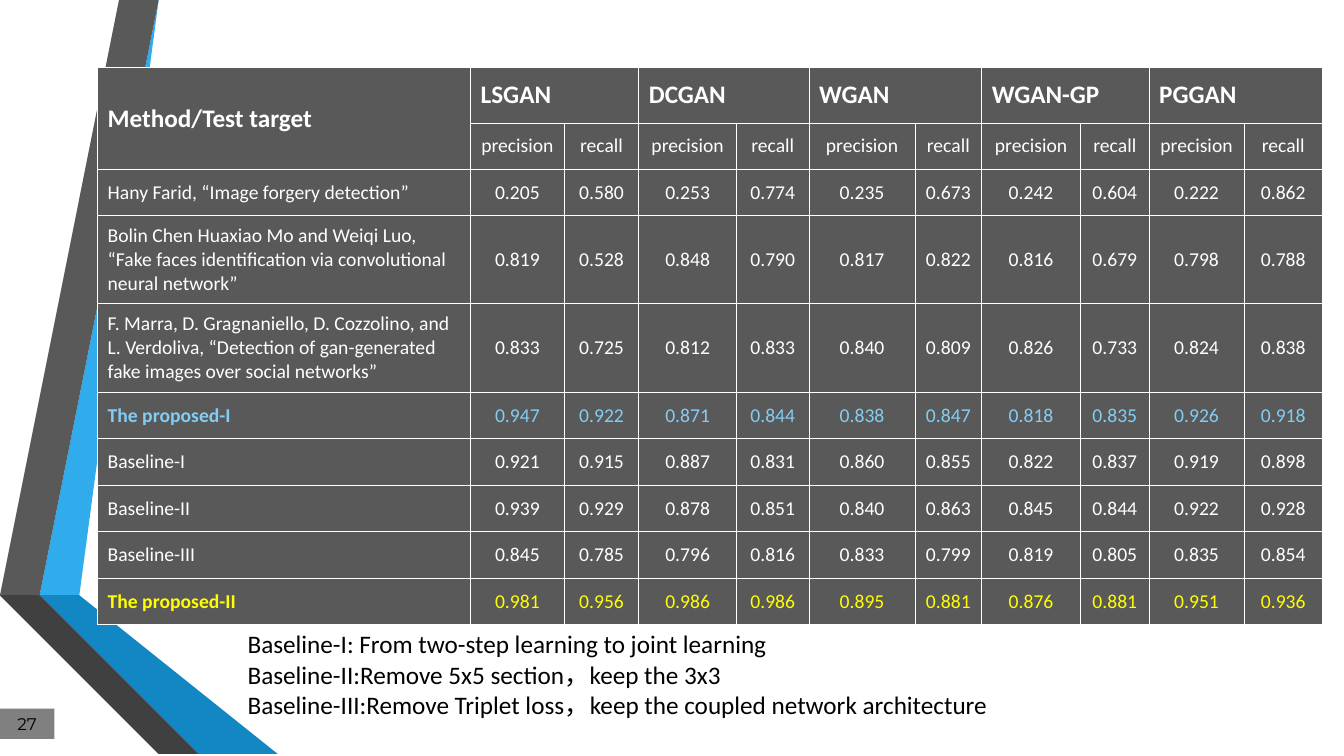
from lxml import etree
from pptx import Presentation
from pptx import util as u
from pptx.dml.color import RGBColor
from pptx.enum import shapes, text
from pptx.oxml.ns import qn

SLIDE_W, SLIDE_H = 33.87, 19.05
BODY_FONT, NUMBER_FONT = "Calibri", "Montserrat"
WHITE, BLACK, GREY = "FFFFFF", "000000", "595959"
SKY, YELLOW = "83CDF4", "FFFF00"

# Ribbon facets, back to front: colour and corners in cm
RIBBON = [
    ("30ACEC", [(1.27, 14.68), (1.96, 14.81), (4.39, 0), (3.68, 0)]),
    (GREY, [(3.53, 0), (2.82, 0), (0.41, 14.55), (1.12, 14.66)]),
    ("262626", [(0.41, 14.55), (3.68, 19.05), (3.84, 19.05)]),
    ("0C5A82", [(1.27, 14.71), (5.28, 19.05), (5.44, 19.05)]),
    ("1287C3", [(1.27, 14.68), (1.27, 14.71), (5.44, 19.05), (7.19, 19.05), (1.96, 14.81)]),
    ("404040", [(5.13, 19.05), (1.22, 14.81), (1.12, 14.66), (0.41, 14.55), (3.84, 19.05)]),
]

TARGETS = ["LSGAN", "DCGAN", "WGAN", "WGAN-GP", "PGGAN"]
MEASURES = ["precision", "recall"]
# Method, its precision and recall per target, text colour
RESULTS = [
    ("Hany Farid, “Image forgery detection”",
     "0.205 0.580 0.253 0.774 0.235 0.673 0.242 0.604 0.222 0.862", WHITE),
    ("Bolin Chen Huaxiao Mo and Weiqi Luo, “Fake faces identification via "
     "convolutional neural network”",
     "0.819 0.528 0.848 0.790 0.817 0.822 0.816 0.679 0.798 0.788", WHITE),
    ("F. Marra, D. Gragnaniello, D. Cozzolino, and L. Verdoliva, “Detection of "
     "gan-generated fake images over social networks”",
     "0.833 0.725 0.812 0.833 0.840 0.809 0.826 0.733 0.824 0.838", WHITE),
    ("The proposed-I",
     "0.947 0.922 0.871 0.844 0.838 0.847 0.818 0.835 0.926 0.918", SKY),
    ("Baseline-I",
     "0.921 0.915 0.887 0.831 0.860 0.855 0.822 0.837 0.919 0.898", WHITE),
    ("Baseline-II",
     "0.939 0.929 0.878 0.851 0.840 0.863 0.845 0.844 0.922 0.928", WHITE),
    ("Baseline-III",
     "0.845 0.785 0.796 0.816 0.833 0.799 0.819 0.805 0.835 0.854", WHITE),
    ("The proposed-II",
     "0.981 0.956 0.986 0.986 0.895 0.881 0.876 0.881 0.951 0.936", YELLOW),
]
COLUMN_WIDTHS = [9.4, 2.36, 1.88, 2.46, 1.83, 2.67, 1.68, 2.49, 1.73, 2.39, 1.98]
ROW_HEIGHTS = [1.4, 1.17, 1.17, 2.21, 2.24] + [1.17] * 5

BASELINE_NOTES = [
    "Baseline-I: From two-step learning to joint learning",
    "Baseline-II:Remove 5x5 section，keep the 3x3",
    "Baseline-III:Remove Triplet loss，keep the coupled network architecture",
]


def colour(hex_code):
    return RGBColor.from_string(hex_code)


def paint(part, hex_code):
    part.fill.solid()
    part.fill.fore_color.rgb = colour(hex_code)


def write(paragraph, words, size, hex_code, bold=False, centred=False, font=BODY_FONT):
    paragraph.text = words
    paragraph.alignment = text.PP_ALIGN.CENTER if centred else text.PP_ALIGN.LEFT
    paragraph.font.name = font
    paragraph.font.size = u.Pt(size)
    paragraph.font.bold = bold
    paragraph.font.color.rgb = colour(hex_code)


def add_ribbon(slide, left, top):
    for hex_code, corners in RIBBON:
        (start_x, start_y), *others = [(left + x, top + y) for x, y in corners]
        outline = slide.shapes.build_freeform(start_x, start_y, scale=u.Cm(1))
        outline.add_line_segments(others, close=True)
        facet = outline.convert_to_shape()
        facet.shadow.inherit = False
        facet.line.fill.background()
        paint(facet, hex_code)


def add_borders(cell):
    properties = cell._tc.get_or_add_tcPr()
    for side in ("a:lnL", "a:lnR", "a:lnT", "a:lnB"):
        border = etree.SubElement(properties, qn(side), w=str(u.Pt(0.75)))
        solid = etree.SubElement(border, qn("a:solidFill"))
        etree.SubElement(solid, qn("a:srgbClr"), val=WHITE)


def add_results(slide, left, top, width, height):
    table = slide.shapes.add_table(
        len(ROW_HEIGHTS), len(COLUMN_WIDTHS),
        u.Cm(left), u.Cm(top), u.Cm(width), u.Cm(height)).table
    for column, column_width in zip(table.columns, COLUMN_WIDTHS):
        column.width = u.Cm(column_width)
    for row, row_height in zip(table.rows, ROW_HEIGHTS):
        row.height = u.Cm(row_height)
    for cell in table.iter_cells():
        add_borders(cell)
        paint(cell, GREY)
        cell.vertical_anchor = text.MSO_ANCHOR.MIDDLE

    def fill_cell(row, column, words, size=14, hex_code=WHITE, **style):
        write(table.cell(row, column).text_frame.paragraphs[0],
              words, size, hex_code, **style)

    # Two header rows
    table.cell(0, 0).merge(table.cell(1, 0))
    fill_cell(0, 0, "Method/Test target", 18, bold=True)
    for i, target in enumerate(TARGETS):
        first = 1 + i * len(MEASURES)
        table.cell(0, first).merge(table.cell(0, first + 1))
        fill_cell(0, first, target, 18, bold=True)
        for j, measure in enumerate(MEASURES):
            fill_cell(1, first + j, measure, centred=True)

    # One row per method
    for row, (method, scores, hex_code) in enumerate(RESULTS, start=2):
        fill_cell(row, 0, method, hex_code=hex_code, bold=hex_code != WHITE)
        for column, score in enumerate(scores.split(), start=1):
            fill_cell(row, column, score, hex_code=hex_code, centred=True)


def add_notes(slide, left, top, width, height):
    frame = slide.shapes.add_textbox(
        u.Cm(left), u.Cm(top), u.Cm(width), u.Cm(height)).text_frame
    frame.word_wrap = True
    for i, note in enumerate(BASELINE_NOTES):
        paragraph = frame.add_paragraph() if i else frame.paragraphs[0]
        write(paragraph, note, 18, BLACK)


def add_page_number(slide, left, top, width, height):
    tab = slide.shapes.add_shape(
        shapes.MSO_SHAPE.RECTANGLE, u.Cm(left), u.Cm(top), u.Cm(width), u.Cm(height))
    tab.shadow.inherit = False
    tab.line.fill.background()
    paint(tab, "808080")
    tab.text_frame.vertical_anchor = text.MSO_ANCHOR.MIDDLE
    write(tab.text_frame.paragraphs[0], "27", 12, BLACK, centred=True, font=NUMBER_FONT)


def main():
    deck = Presentation()
    deck.slide_width, deck.slide_height = u.Cm(SLIDE_W), u.Cm(SLIDE_H)
    slide = deck.slides.add_slide(deck.slide_layouts[6])
    add_ribbon(slide, 0, 0)
    add_notes(slide, 5.99, 15.72, 19.79, 2.57)
    add_results(slide, 2.46, 1.7, sum(COLUMN_WIDTHS), sum(ROW_HEIGHTS))
    add_page_number(slide, 0, 17.86, 1.37, 0.76)
    deck.save("out.pptx")


if __name__ == "__main__":
    main()
